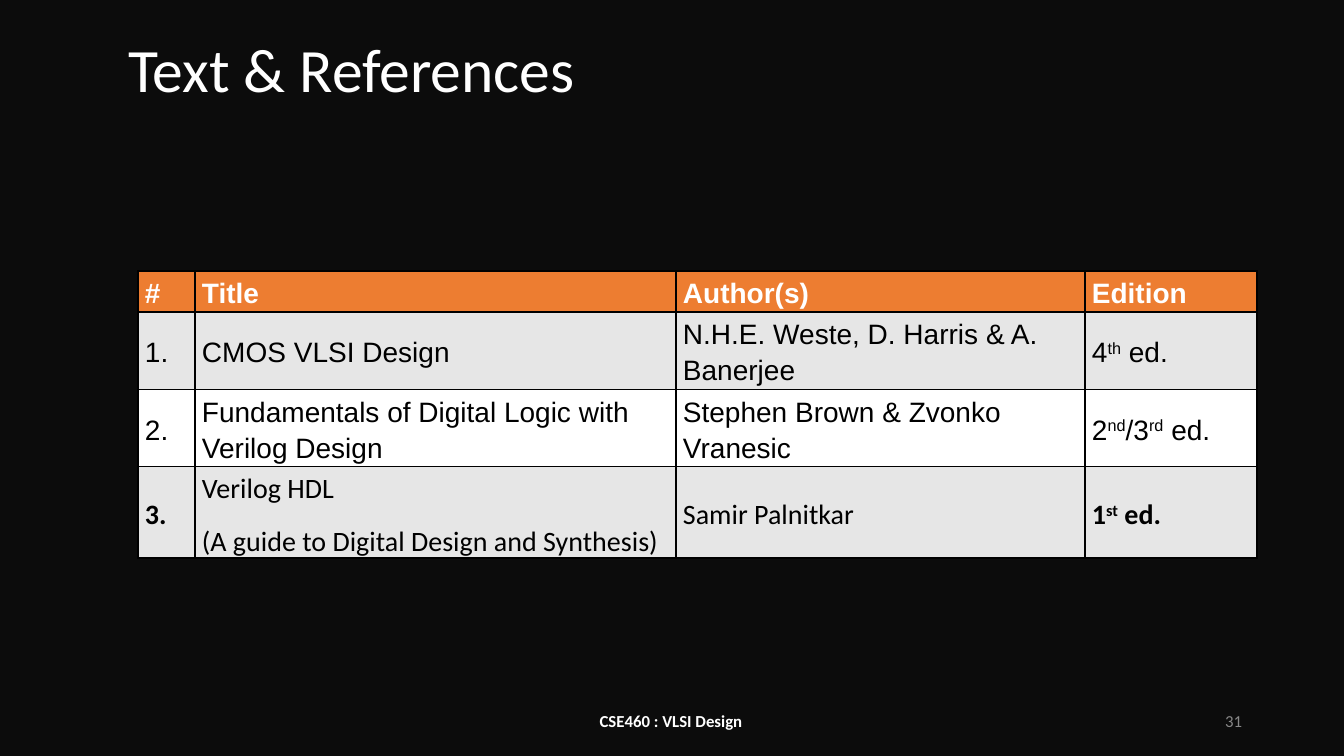
from lxml import etree
from pptx import Presentation
from pptx import util as u
from pptx.dml.color import RGBColor
from pptx.enum import text
from pptx.oxml import ns


def px(n):
    return u.Emu(round(n * 914400 / 100.8))


def write(p, content, size, color, font="Calibri", bold=False):
    for i, part in enumerate(content.split("^")):
        r = p.add_run()
        r.text = part
        r.font.size = u.Pt(size)
        r.font.name = font
        r.font.bold = bold
        r.font.color.rgb = RGBColor.from_string(color)
        if i % 2:
            r._r.get_or_add_rPr().set("baseline", "30000")


prs = Presentation()
prs.slide_width, prs.slide_height = px(1344), px(756)
s = prs.slides.add_slide(prs.slide_layouts[5])
s.background.fill.solid()
s.background.fill.fore_color.rgb = RGBColor.from_string("0C0C0C")

title = s.shapes.title
title.left, title.top, title.width, title.height = px(118), px(25), px(1159), px(96)
tf = title.text_frame
tf.auto_size = text.MSO_AUTO_SIZE.NONE
tf.vertical_anchor = text.MSO_ANCHOR.MIDDLE
p = tf.paragraphs[0]
p.alignment = text.PP_ALIGN.LEFT
p.line_spacing = 0.9
write(p, "Text & References", 44, "FFFFFF")

footers = [
    (446, 454, "CSE460 : VLSI Design ", "FFFFFF", True, text.PP_ALIGN.CENTER),
    (950, 302, "31", "888888", False, text.PP_ALIGN.RIGHT),
]
for left, width, content, color, bold, align in footers:
    tf = s.shapes.add_textbox(px(left), px(701), px(width), px(40)).text_frame
    tf.word_wrap = True
    tf.vertical_anchor = text.MSO_ANCHOR.MIDDLE
    p = tf.paragraphs[0]
    p.alignment = align
    write(p, content, 12, color, bold=bold)

books = [
    ("#", "Title", "Author(s)", "Edition"),
    ("1.", "CMOS VLSI Design", "N.H.E. Weste, D. Harris & A. Banerjee", "4^th^ ed."),
    ("2.", "Fundamentals of Digital Logic with Verilog Design",
     "Stephen Brown & Zvonko Vranesic", "2^nd^/3^rd^ ed."),
    ("3.", "Verilog HDL\n(A guide to Digital Design and Synthesis)",
     "Samir Palnitkar", "1^st^ ed."),
]
fills = ["ED7D31", "E6E6E6", "FFFFFF", "E6E6E6"]
frame = s.shapes.add_table(4, 4, px(138), px(271), px(1119), px(164))
table = frame.table
for col, width in zip(table.columns, [57, 481, 409, 172]):
    col.width = px(width)
for i, book in enumerate(books):
    table.rows[i].height = px(41)
    for j, content in enumerate(book):
        cell = table.cell(i, j)
        cell.margin_left = cell.margin_right = px(7)
        cell.margin_top = cell.margin_bottom = 0
        cell.vertical_anchor = text.MSO_ANCHOR.MIDDLE
        tcPr = cell._tc.get_or_add_tcPr()
        for side in ("a:lnL", "a:lnR", "a:lnT", "a:lnB"):
            ln = etree.SubElement(tcPr, ns.qn(side), w="12700")
            line_fill = etree.SubElement(ln, ns.qn("a:solidFill"))
            etree.SubElement(line_fill, ns.qn("a:srgbClr"), val="000000")
        cell.fill.solid()
        cell.fill.fore_color.rgb = RGBColor.from_string(fills[i])
        tf = cell.text_frame
        for k, line in enumerate(content.split("\n")):
            p = tf.add_paragraph() if k else tf.paragraphs[0]
            p.line_spacing = 1.15
            p.space_before = u.Pt(10 if k else 0)
            write(p, line, 20, "000000" if i else "FFFFFF",
                  "Calibri" if i == 3 else "Arial",
                  i == 0 or (i == 3 and j in (0, 3)))
frame.height = px(331)

prs.save("out.pptx")
